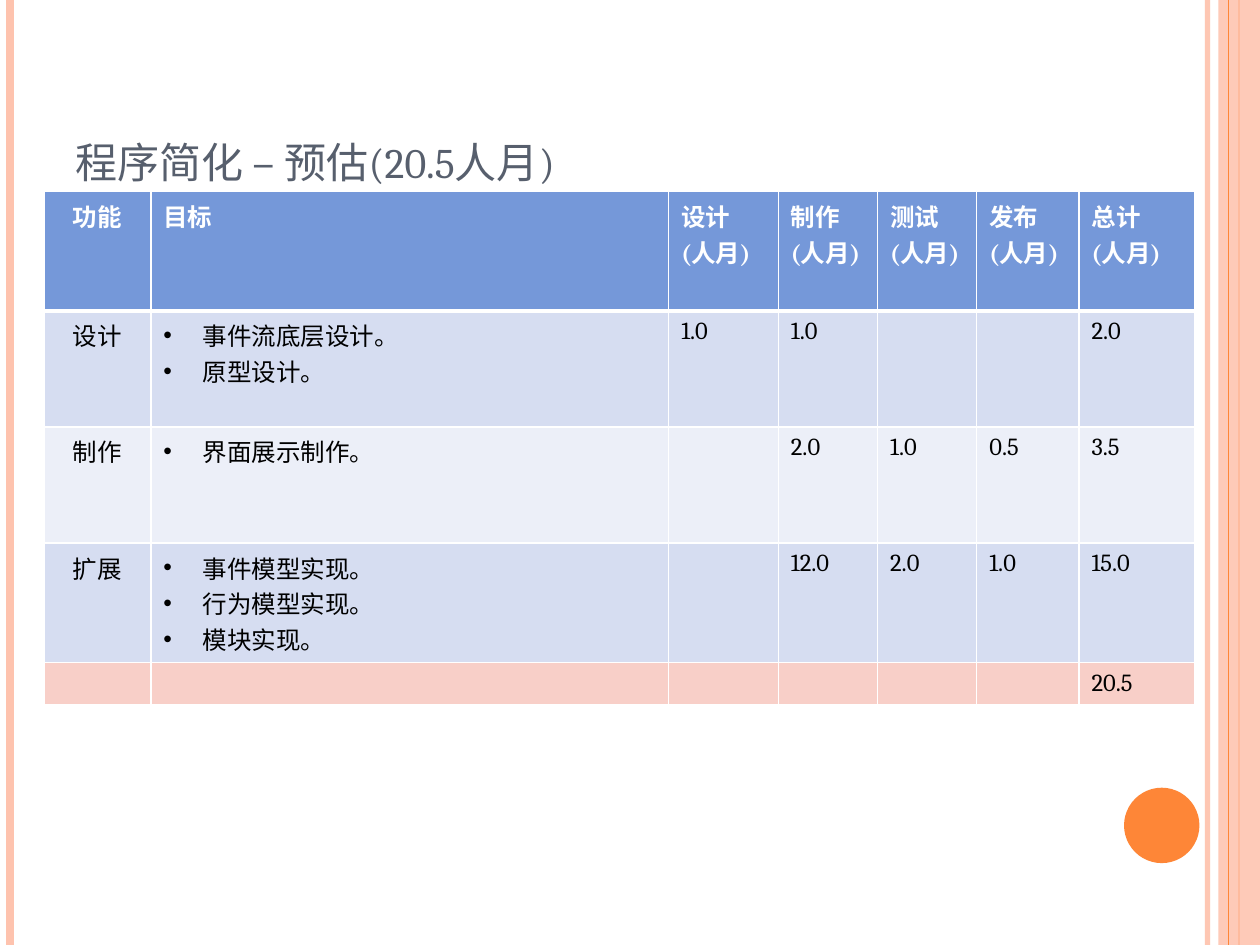
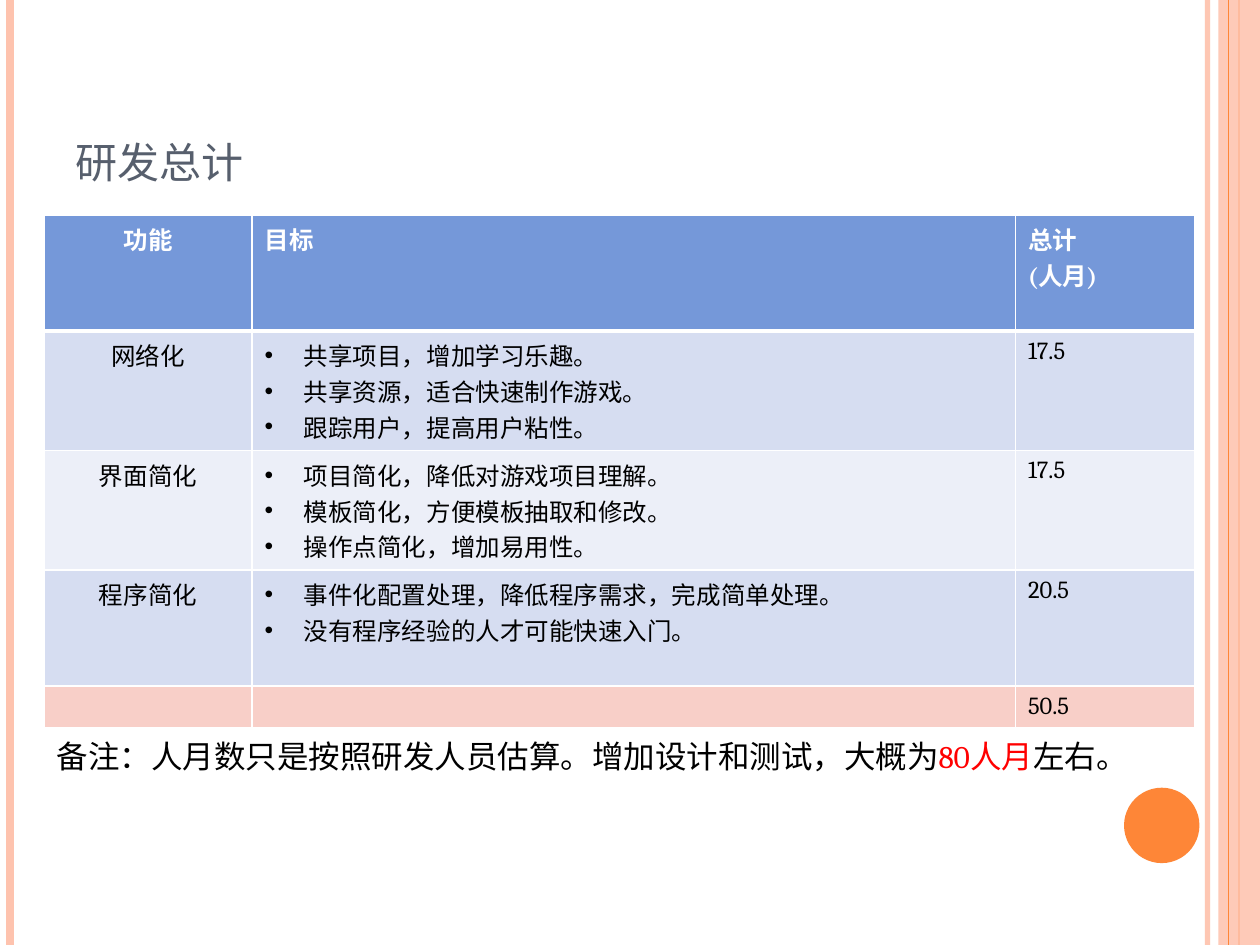
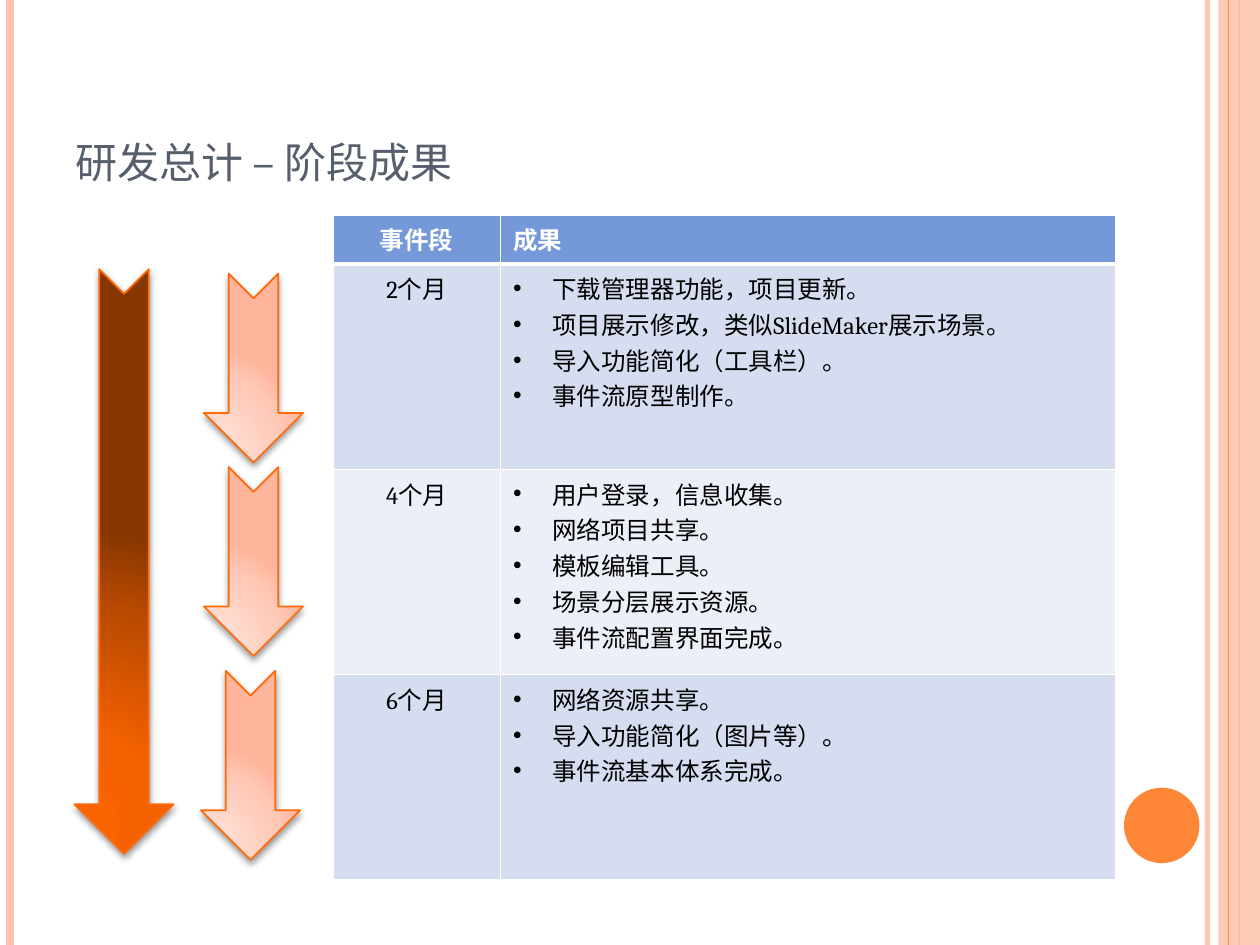
import pptx
import pptx.dml.color
import pptx.enum.shapes
import pptx.enum.text
import pptx.oxml
import pptx.oxml.ns
import pptx.util
from lxml import etree

Cm, Pt = pptx.util.Cm, pptx.util.Pt
qn = pptx.oxml.ns.qn
SHAPES = pptx.enum.shapes.MSO_SHAPE

FONT = "Cambria"
BLACK, WHITE, RED = "000000", "FFFFFF", "FF0000"
TITLE_GREY = "575F6D"
ORANGE, PEACH, ARROW_EDGE = "FE8637", "FEC3AE", "FF6B0A"
HEADER_BLUE, TOTAL_PINK = "7598D9", "F8CFC8"
BANDS = ("D6DDF1", "ECEFF8")
DARK_GRADIENT = {0: "FD6400", 30: "F46100", 75: "B74900", 100: "873600"}
PALE_GRADIENT = {0: "FFDED5", 30: "FFDBD0", 75: "FFC8B6", 100: "FFB59B"}

SLIDE_WIDTH, SLIDE_HEIGHT = 25.4, 19.05
TABLE_LEFT = 0.89
ROW, THREE_LINE_ROW, TOTAL_ROW = 2.34, 2.41, 0.58


def rgb(value):
    return pptx.dml.color.RGBColor.from_string(value)


def add_xml(parent, tag, **attributes):
    return etree.SubElement(parent, qn(tag), attributes)


def set_alpha(fill_parent, percent):
    colour = fill_parent.find(f".//{qn('a:srgbClr')}")
    add_xml(colour, "a:alpha", val=str(percent * 1000))


def set_font(font, size, colour, bold=False):
    font.name, font.size, font.bold = FONT, Pt(size), bold
    font.color.rgb = rgb(colour)


# Frame shared by all slides
def add_stripe(slide, x, width, colour, alpha=None):
    stripe = slide.shapes.add_connector(
        pptx.enum.shapes.MSO_CONNECTOR.STRAIGHT,
        Cm(x), Cm(0), Cm(x), Cm(SLIDE_HEIGHT))
    stripe.line.width = Pt(width)
    stripe.line.color.rgb = rgb(colour)
    properties = stripe._element.spPr
    if alpha:
        set_alpha(properties, alpha)
    add_xml(properties, "a:effectLst")


def add_plain_shape(slide, kind, left, top, width, height, colour):
    shape = slide.shapes.add_shape(kind, Cm(left), Cm(top), Cm(width), Cm(height))
    shape.shadow.inherit = False
    shape.fill.solid()
    shape.fill.fore_color.rgb = rgb(colour)
    shape.line.fill.background()
    return shape


def add_frame(slide):
    add_stripe(slide, 24.34, 3, PEACH, alpha=93)
    add_stripe(slide, 0.21, 4.5, PEACH)
    add_stripe(slide, 24.98, 1.5, ORANGE)
    band = add_plain_shape(slide, SHAPES.RECTANGLE, 24.56, 0,
                           SLIDE_WIDTH - 24.56, SLIDE_HEIGHT, PEACH)
    set_alpha(band._element.spPr, 87)
    add_stripe(slide, 24.77, 0.75, ORANGE)
    add_plain_shape(slide, SHAPES.OVAL, 22.66, 15.88, 1.52, 1.52, ORANGE)


# Text
def add_text(slide, left, top, width, height):
    frame = slide.shapes.add_textbox(
        Cm(left), Cm(top), Cm(width), Cm(height)).text_frame
    frame.word_wrap = True
    return frame


def add_title(slide, text):
    frame = add_text(slide, 1.27, 0.76, 20.75, 3.18)
    frame.vertical_anchor = pptx.enum.text.MSO_ANCHOR.BOTTOM
    title = frame.paragraphs[0].add_run()
    title.text = text
    set_font(title.font, 30, TITLE_GREY)
    title._r.get_or_add_rPr().set("cap", "small")


def add_note(slide, *parts):
    paragraph = add_text(slide, 0.89, 14.73, 22.81, 1.02).paragraphs[0]
    for text, colour in parts:
        run = paragraph.add_run()
        run.text = text
        set_font(run.font, 18, colour)


def add_bullet(paragraph):
    properties = paragraph._p.get_or_add_pPr()
    indent = Cm(0.79)
    properties.set("marL", str(int(indent)))
    properties.set("indent", str(-int(indent)))
    add_xml(properties, "a:buFont", typeface="Arial")
    add_xml(properties, "a:buChar", char="•")


# Tables: a list in a cell becomes bullets, a string becomes plain lines
def fill_cell(cell, content, colour, bold, centred):
    frame = cell.text_frame
    bulleted = isinstance(content, list)
    for index, line in enumerate(content if bulleted else content.split("\n")):
        paragraph = frame.add_paragraph() if index else frame.paragraphs[0]
        if bulleted:
            add_bullet(paragraph)
        if line:
            paragraph.text = line
        else:
            paragraph._p.get_or_add_endParaRPr().set("sz", "1400")
        if centred:
            paragraph.alignment = pptx.enum.text.PP_ALIGN.CENTER
        set_font(paragraph.font, 14, colour, bold)


def style_cell(cell, fill, top, bottom):
    properties = cell._tc.get_or_add_tcPr()
    for side, width in (("L", 1), ("R", 1), ("T", top), ("B", bottom)):
        border = add_xml(properties, f"a:ln{side}", w=str(int(Pt(width))))
        add_xml(add_xml(border, "a:solidFill"), "a:srgbClr", val=WHITE)
    cell.fill.solid()
    cell.fill.fore_color.rgb = rgb(fill)


def add_plan_table(slide, left, top, columns, heights, rows, has_total=True):
    table = slide.shapes.add_table(
        len(rows), len(columns), Cm(left), Cm(top),
        Cm(sum(columns)), Cm(sum(heights))).table
    table.first_row = table.horz_banding = False
    for column, width in zip(table.columns, columns):
        column.width = Cm(width)
    for r, (contents, height) in enumerate(zip(rows, heights)):
        table.rows[r].height = Cm(height)
        header = r == 0
        if header:
            fill = HEADER_BLUE
        elif has_total and r == len(rows) - 1:
            fill = TOTAL_PINK
        else:
            fill = BANDS[(r - 1) % 2]
        for c, content in enumerate(contents):
            cell = table.cell(r, c)
            style_cell(cell, fill, 3 if r == 1 else 1, 3 if header else 1)
            fill_cell(cell, content, WHITE if header else BLACK, header, c == 0)


# Downward arrows, placed by their centre
def add_arrow(slide, centre_x, centre_y, length, gradient, alpha, distance):
    thickness = 2
    arrow = add_plain_shape(
        slide, SHAPES.NOTCHED_RIGHT_ARROW, centre_x - length / 2,
        centre_y - thickness / 2, length, thickness, ORANGE)
    arrow.rotation = 90
    arrow.line.width = Pt(1)
    arrow.line.color.rgb = rgb(ARROW_EDGE)
    properties = arrow._element.spPr
    stops = "".join(
        f'<a:gs pos="{position * 1000}"><a:srgbClr val="{colour}"/></a:gs>'
        for position, colour in gradient.items())
    properties.replace(properties.find(qn("a:solidFill")), pptx.oxml.parse_xml(
        f'<a:gradFill {pptx.oxml.ns.nsdecls("a")} rotWithShape="1">'
        f'<a:gsLst>{stops}</a:gsLst><a:path path="circle">'
        '<a:fillToRect l="5000" t="100000" r="120000" b="10000"/>'
        '</a:path></a:gradFill>'))
    shadow = add_xml(
        properties.find(qn("a:effectLst")), "a:outerShdw",
        blurRad=str(int(Pt(4))), dist=str(int(Pt(distance))),
        dir="5400000", rotWithShape="0")
    add_xml(shadow, "a:srgbClr", val=BLACK)
    set_alpha(shadow, alpha)


def add_slide(deck, title):
    slide = deck.slides.add_slide(deck.slide_layouts[6])
    add_frame(slide)
    add_title(slide, title)
    return slide


def add_estimate_slide(deck):
    slide = add_slide(deck, "程序简化 – 预估(20.5人月)")
    efforts = [f"{stage}\n(人月)" for stage in ("设计", "制作", "测试", "发布", "总计")]
    add_plan_table(
        slide, TABLE_LEFT, 3.86, [2.15, 10.44, 2.21, 2, 2, 2.06, 2.33],
        [THREE_LINE_ROW, ROW, ROW, THREE_LINE_ROW, TOTAL_ROW],
        [["功能", "目标", *efforts],
         ["设计", ["事件流底层设计。", "原型设计。"], "1.0", "1.0", "", "", "2.0"],
         ["制作", ["界面展示制作。"], "", "2.0", "1.0", "0.5", "3.5"],
         ["扩展", ["事件模型实现。", "行为模型实现。", "模块实现。"],
          "", "12.0", "2.0", "1.0", "15.0"],
         [""] * 6 + ["20.5"]])


def add_summary_slide(deck):
    slide = add_slide(deck, "研发总计")
    add_plan_table(
        slide, TABLE_LEFT, 4.33, [4.19, 15.39, 3.61],
        [ROW, THREE_LINE_ROW, THREE_LINE_ROW, ROW, TOTAL_ROW],
        [["功能", "目标", "总计\n(人月)"],
         ["网络化", ["共享项目，增加学习乐趣。", "共享资源，适合快速制作游戏。",
                  "跟踪用户，提高用户粘性。"], "17.5"],
         ["界面简化", ["项目简化，降低对游戏项目理解。", "模板简化，方便模板抽取和修改。",
                   "操作点简化，增加易用性。"], "17.5"],
         ["程序简化", ["事件化配置处理，降低程序需求，完成简单处理。",
                   "没有程序经验的人才可能快速入门。"], "20.5"],
         ["", "", "50.5"]])
    add_note(slide,
             ("备注：人月数只是按照研发人员估算。增加设计和测试，大概为", BLACK),
             ("80人月", RED), ("左右。", BLACK))


def add_milestone_slide(deck):
    slide = add_slide(deck, "研发总计 – 阶段成果")
    add_plan_table(
        slide, 6.71, 4.33, [3.38, 12.4], [0.99] + [4.14] * 3,
        [["事件段", "成果"],
         ["2个月", ["下载管理器功能，项目更新。", "项目展示修改，类似SlideMaker展示场景。",
                 "导入功能简化（工具栏）。", "事件流原型制作。"]],
         ["4个月", ["用户登录，信息收集。", "网络项目共享。", "模板编辑工具。",
                 "场景分层展示资源。", "事件流配置界面完成。"]],
         ["6个月", ["网络资源共享。", "导入功能简化（图片等）。", "事件流基本体系完成。"]]],
        has_total=False)
    add_arrow(slide, 2.5, 11.32, 11.79, DARK_GRADIENT, 42, 1.6)
    for centre_x, centre_y in ((5.11, 7.42), (5.11, 11.32), (5.05, 15.43)):
        add_arrow(slide, centre_x, centre_y, 3.81, PALE_GRADIENT, 40, 2)


def main():
    deck = pptx.Presentation()
    deck.slide_width, deck.slide_height = Cm(SLIDE_WIDTH), Cm(SLIDE_HEIGHT)
    add_estimate_slide(deck)
    add_summary_slide(deck)
    add_milestone_slide(deck)
    deck.save("out.pptx")


if __name__ == "__main__":
    main()
